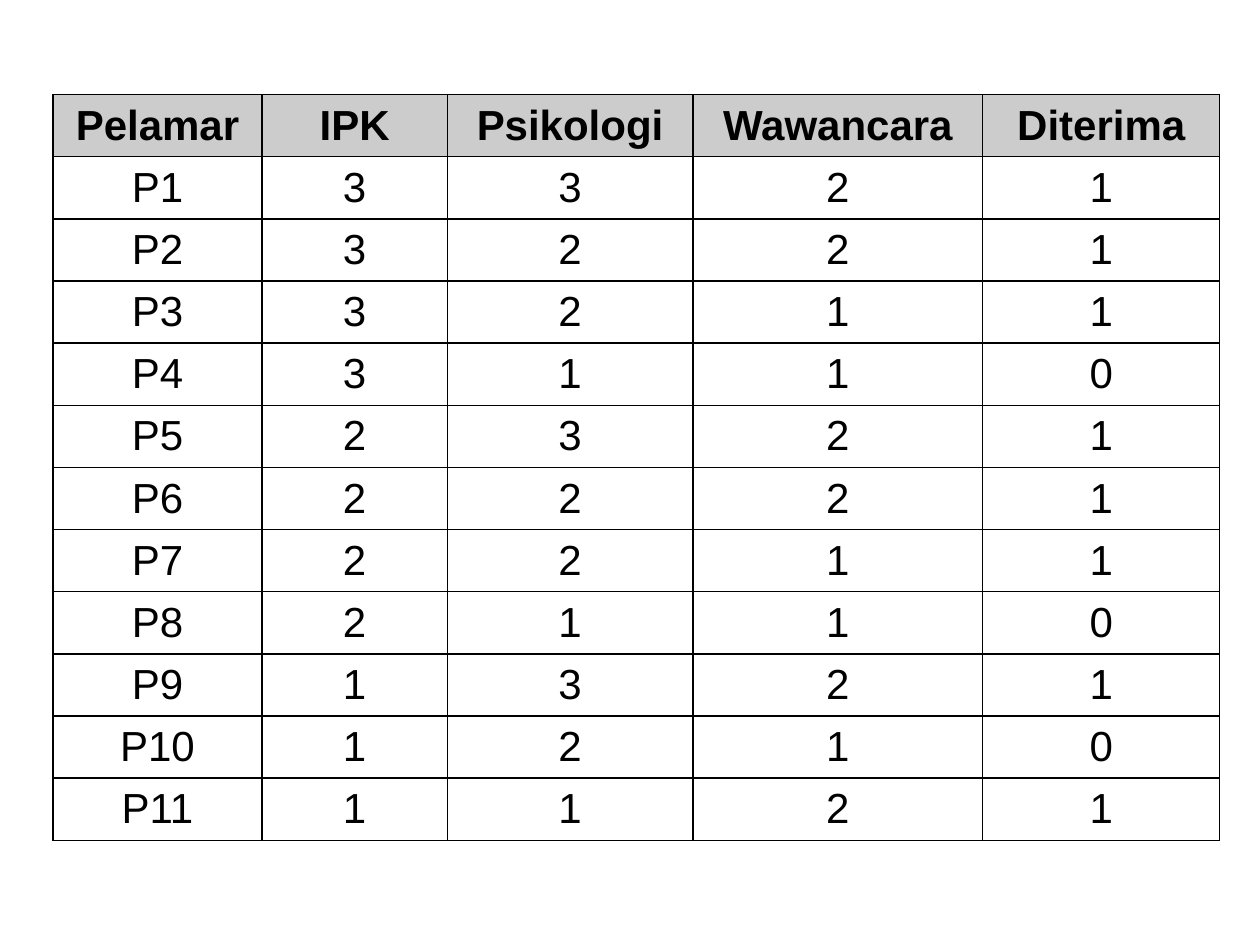
from dataclasses import dataclass
from lxml.etree import SubElement
from pptx import Presentation
from pptx.dml.color import RGBColor as Color
from pptx.enum.text import MSO_ANCHOR as Anchor, PP_ALIGN as Align
from pptx.oxml.ns import qn
from pptx.util import Inches, Pt

HEADS = ["Pelamar", "IPK", "Psikologi", "Wawancara", "Diterima"]
SCORES = [
    (3, 3, 2, 1),
    (3, 2, 2, 1),
    (3, 2, 1, 1),
    (3, 1, 1, 0),
    (2, 3, 2, 1),
    (2, 2, 2, 1),
    (2, 2, 1, 1),
    (2, 1, 1, 0),
    (1, 3, 2, 1),
    (1, 2, 1, 0),
    (1, 1, 2, 1),
]
ROWS = [HEADS] + [[f"P{n}", *marks] for n, marks in enumerate(SCORES, 1)]


@dataclass(frozen=True)
class Theme:
    font: str = "Arial"
    size: int = 24
    ink: str = "000000"
    head: str = "CCCCCC"
    line: int = 1


THEME = Theme()
WIDE, HIGH = Inches(10), Inches(7.5)
LEFT, TOP = Inches(0.42), Inches(0.75)
COLS = [Inches(w) for w in (1.66, 1.47, 1.95, 2.3, 1.88)]
TALL = Inches(5.92)
PAD = Inches(0.07)


def frame(cell):
    """Rule all four sides of a cell."""
    props = cell._tc.get_or_add_tcPr()
    for side in ("lnL", "lnR", "lnT", "lnB"):
        line = SubElement(props, qn(f"a:{side}"), w=str(Pt(THEME.line)))
        fill = SubElement(line, qn("a:solidFill"))
        SubElement(fill, qn("a:srgbClr"), val=THEME.ink)


def write(cell, text, bold):
    cell.margin_left = cell.margin_right = PAD
    cell.margin_top = cell.margin_bottom = 0
    cell.vertical_anchor = Anchor.MIDDLE
    para = cell.text_frame.paragraphs[0]
    para.alignment = Align.CENTER
    run = para.add_run()
    run.text = str(text)
    font = run.font
    font.name, font.size, font.bold = THEME.font, Pt(THEME.size), bold
    font.color.rgb = Color.from_string(THEME.ink)


def shade(cell, top):
    if top:
        cell.fill.solid()
        cell.fill.fore_color.rgb = Color.from_string(THEME.head)
    else:
        cell.fill.background()


def main():
    deck = Presentation()
    deck.slide_width, deck.slide_height = WIDE, HIGH
    slide = deck.slides.add_slide(deck.slide_layouts[6])
    table = slide.shapes.add_table(
        len(ROWS), len(COLS), LEFT, TOP, sum(COLS), TALL).table
    table.horz_banding = False
    for col, width in zip(table.columns, COLS):
        col.width = width
    for r, row in enumerate(ROWS):
        for c, text in enumerate(row):
            cell = table.cell(r, c)
            write(cell, text, bold=r == 0)
            frame(cell)
            shade(cell, top=r == 0)
    deck.save("out.pptx")


if __name__ == "__main__":
    main()
